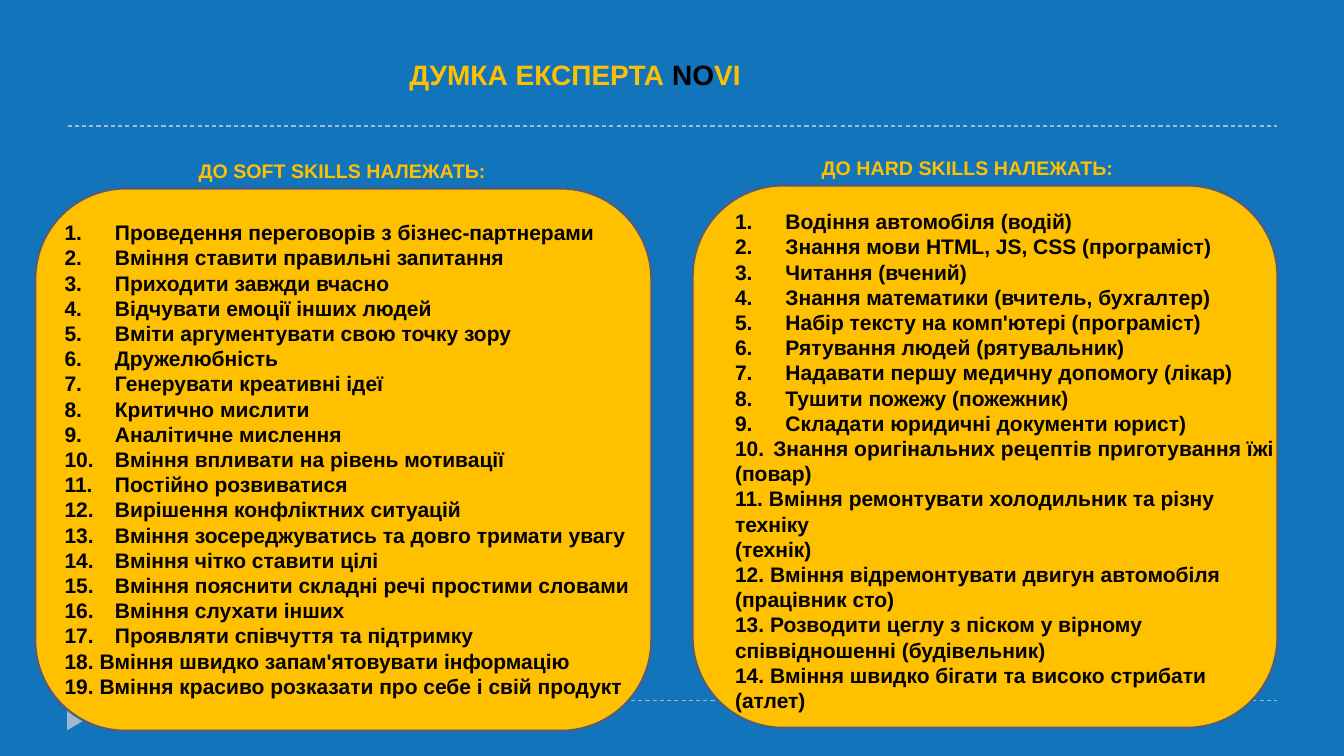
from lxml.etree import SubElement
from pptx import Presentation
from pptx.dml.color import RGBColor
from pptx.enum.dml import MSO_LINE
from pptx.enum.shapes import MSO_CONNECTOR, MSO_SHAPE
from pptx.enum.text import MSO_ANCHOR, MSO_AUTO_SIZE, PP_ALIGN
from pptx.oxml.ns import qn
from pptx.util import Inches, Pt

BLUE = RGBColor(0x12, 0x74, 0xBB)
AMBER = RGBColor(0xFF, 0xC0, 0x00)
SLATE = RGBColor(0x54, 0x5C, 0x79)
PALE = RGBColor(0x9F, 0xB8, 0xCD)
BLACK = RGBColor(0, 0, 0)

SOFT_SKILLS = [
    "Проведення переговорів з бізнес-партнерами",
    "Вміння ставити правильні запитання",
    "Приходити завжди вчасно",
    "Відчувати емоції інших людей",
    "Вміти аргументувати свою точку зору",
    "Дружелюбність",
    "Генерувати креативні ідеї",
    "Критично мислити",
    "Аналітичне мислення",
    "Вміння впливати на рівень мотивації",
    "Постійно розвиватися",
    "Вирішення конфліктних ситуацій",
    "Вміння зосереджуватись та довго тримати увагу",
    "Вміння чітко ставити цілі",
    "Вміння пояснити складні речі простими словами",
    "Вміння слухати інших",
    "Проявляти співчуття та підтримку",
]
SOFT_REST = [
    "18. Вміння швидко запам'ятовувати інформацію",
    "19. Вміння красиво розказати про себе і свій продукт",
]
HARD_SKILLS = [
    "Водіння автомобіля (водій)",
    "Знання мови HTML, JS, CSS (програміст)",
    "Читання (вчений)",
    "Знання математики (вчитель, бухгалтер)",
    "Набір тексту на комп'ютері (програміст)",
    "Рятування людей (рятувальник)",
    "Надавати першу медичну допомогу (лікар)",
    "Тушити пожежу (пожежник)",
    "Складати юридичні документи юрист)",
]
HARD_TENTH = ["Знання оригінальних рецептів приготування їжі"]
HARD_REST = [
    "(повар)",
    "11. Вміння ремонтувати холодильник та різну техніку",
    "(технік)",
    "12. Вміння відремонтувати двигун автомобіля (працівник сто)",
    "13. Розводити цеглу з піском у вірному співвідношенні (будівельник)",
    "14. Вміння швидко бігати та високо стрибати (атлет)",
]


def add_run(p, text, size=15, color=BLACK):
    """Add a bold Arial run to a paragraph."""
    r = p.add_run()
    r.text = text
    r.font.name = "Arial"
    r.font.size = Pt(size)
    r.font.bold = True
    r.font.color.rgb = color


def place(sp, x, y, w, h):
    """Bring a placeholder to the front, put it in its box and return its text frame."""
    sp.element.getparent().append(sp.element)
    sp.left, sp.top, sp.width, sp.height = map(Inches, (x, y, w, h))
    tf = sp.text_frame
    tf.word_wrap = True
    tf.auto_size = MSO_AUTO_SIZE.NONE
    tf.vertical_anchor = MSO_ANCHOR.TOP
    return tf


def set_paragraph(p, hang=0, start=1, leading=1.0):
    """Align a paragraph left and number it when it has a hanging indent."""
    p.alignment = PP_ALIGN.LEFT
    p.line_spacing = leading
    p.space_before = p.space_after = Pt(0)
    pPr = p._p.get_or_add_pPr()
    pPr.set("marL", str(Inches(hang)))
    pPr.set("indent", str(-Inches(hang)))
    if hang:
        color = SubElement(pPr, qn("a:buClr"))
        SubElement(color, qn("a:srgbClr"), val=str(BLACK))
        number = SubElement(pPr, qn("a:buAutoNum"), type="arabicPeriod")
        if start > 1:
            number.set("startAt", str(start))
    else:
        SubElement(pPr, qn("a:buNone"))


def add_heading(sp, box, runs, size):
    """Fill a placeholder with one line of coloured runs."""
    p = place(sp, *box).paragraphs[0]
    set_paragraph(p)
    for text, color in runs:
        add_run(p, text, size, color)


def add_list(sp, box, groups):
    """Fill a body placeholder with groups of (items, hang, start)."""
    tf = place(sp, *box)
    lines = [(item, hang, start) for items, hang, start in groups for item in items]
    for i, (text, hang, start) in enumerate(lines):
        p = tf.add_paragraph() if i else tf.paragraphs[0]
        set_paragraph(p, hang, start, leading=Pt(18))
        add_run(p, text)


def add_decor(s):
    """Draw the blue ground, the two dashed rules and the corner marker."""
    s.background.fill.solid()
    s.background.fill.fore_color.rgb = BLUE
    for y in (6.95, 1.25):
        rule = s.shapes.add_connector(
            MSO_CONNECTOR.STRAIGHT, Inches(0.67), Inches(y), Inches(12.67), Inches(y))
        rule.line.color.rgb = PALE
        rule.line.width = Pt(0.75)
        rule.line.dash_style = MSO_LINE.DASH
        SubElement(rule._element.spPr, qn("a:effectLst"))
    marker = s.shapes.add_shape(
        MSO_SHAPE.ISOSCELES_TRIANGLE, Inches(0.65), Inches(7.05), Inches(0.21), Inches(0.18))
    marker.rotation = 90
    marker.shadow.inherit = False
    marker.fill.solid()
    marker.fill.fore_color.rgb = PALE
    marker.line.fill.background()


def add_panel(s, x, y, w, h, heading, title, title_x, body, body_box, groups):
    """Draw a rounded panel with its heading above and its list inside."""
    sp = s.shapes.add_shape(
        MSO_SHAPE.ROUNDED_RECTANGLE, Inches(x), Inches(y), Inches(w), Inches(h))
    sp.shadow.inherit = False
    sp.fill.solid()
    sp.fill.fore_color.rgb = AMBER
    sp.line.color.rgb = SLATE
    sp.line.width = Pt(1.5)
    add_heading(heading, (x + title_x, y - 0.34, 3.42, 0.34), [(title, AMBER)], 14)
    dx, dy, list_w, list_h = body_box
    add_list(body, (x + dx, y + dy, list_w, list_h), groups)


def main():
    """Build the slide and save it."""
    prs = Presentation()
    prs.slide_width, prs.slide_height = Inches(13.33), Inches(7.5)
    s = prs.slides.add_slide(prs.slide_layouts.get_by_name("Comparison"))
    title, soft_head, soft_body, hard_head, hard_body = list(s.placeholders)
    add_decor(s)
    add_panel(s, 6.87, 1.84, 5.8, 5.38, hard_head, "ДО HARD SKILLS НАЛЕЖАТЬ:", 1.18,
              hard_body, (0.32, 0.18, 5.6, 5.2),
              [(HARD_SKILLS, 0.5, 1), (HARD_TENTH, 0.38, 10), (HARD_REST, 0, 1)])
    add_panel(s, 0.35, 1.87, 6.11, 5.38, soft_head, "ДО SOFT SKILLS НАЛЕЖАТЬ:", 1.52,
              soft_body, (0.19, 0.26, 5.92, 5.1),
              [(SOFT_SKILLS, 0.5, 1), (SOFT_REST, 0, 1)])
    add_heading(title, (3.96, 0.52, 3.54, 0.77),
                [("ДУМКА ЕКСПЕРТА ", AMBER), ("NO", BLACK), ("VI", AMBER)], 20)
    prs.save("out.pptx")


if __name__ == "__main__":
    main()
